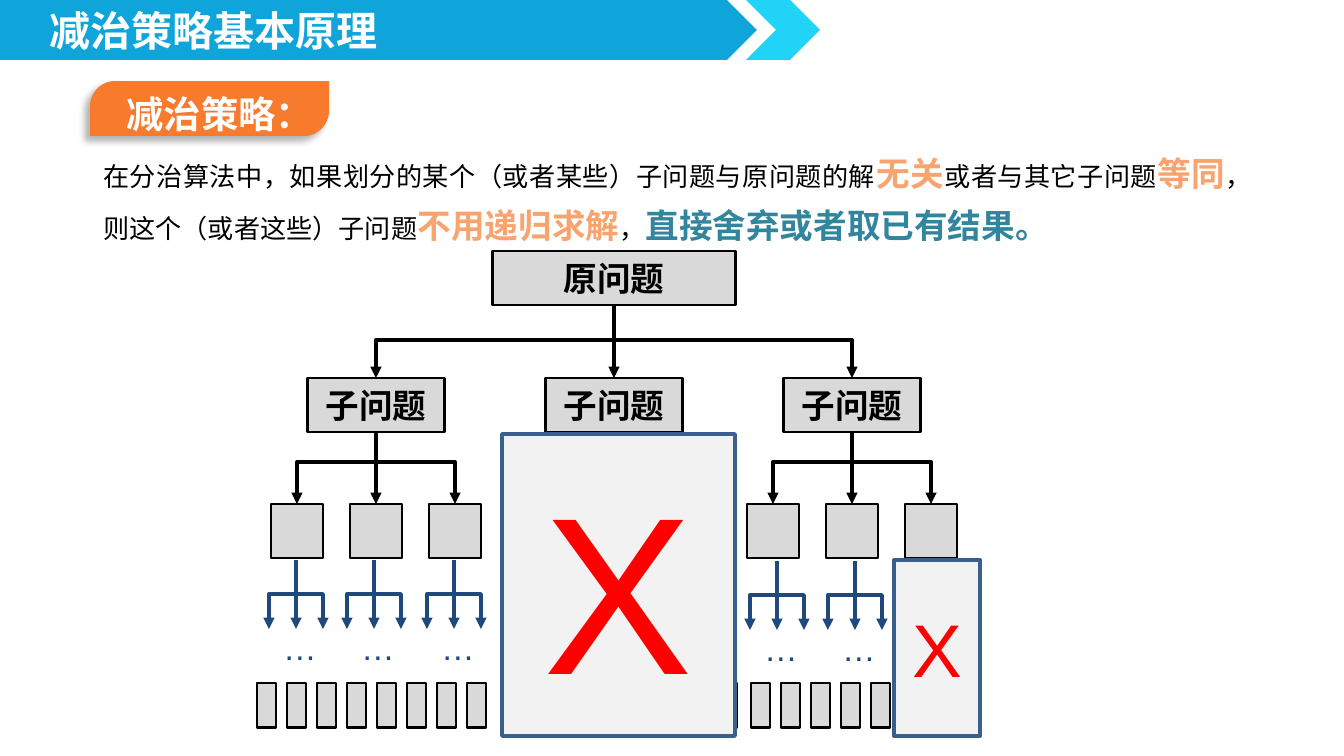
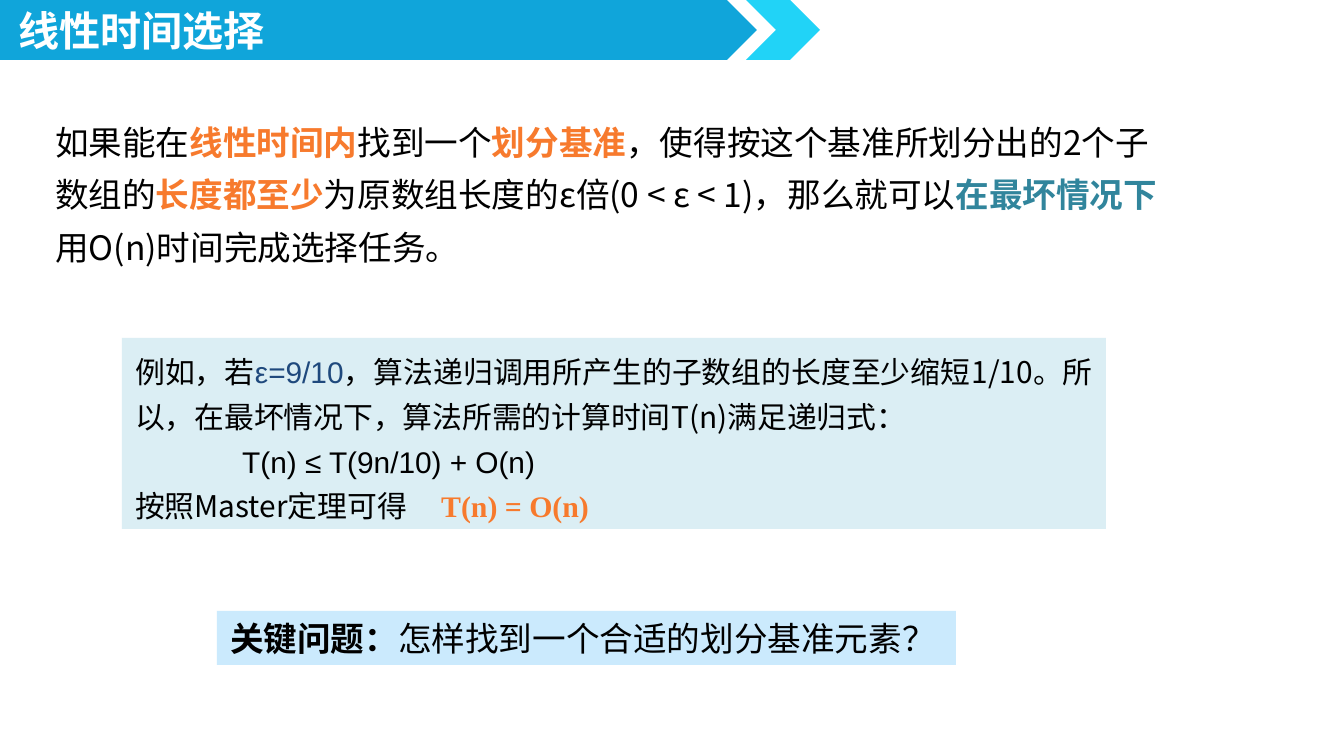
"""Builds two slides on decrease-and-conquer and linear-time selection."""
from lxml.etree import SubElement
from pptx import Presentation
from pptx.dml.color import RGBColor
from pptx.enum.shapes import MSO_CONNECTOR as CONN, MSO_SHAPE as SHAPE
from pptx.enum.text import MSO_ANCHOR as ANCHOR, PP_ALIGN as ALIGN
from pptx.oxml.ns import qn
from pptx.util import Pt

PX = 914400 * 10 / 1344
SANS, ARIAL, SERIF = "Noto Sans CJK SC", "Arial", "Times New Roman"
BLACK, WHITE = RGBColor(0, 0, 0), RGBColor(255, 255, 255)
BLUE, CYAN = RGBColor(0x10, 0xA5, 0xDA), RGBColor(0x21, 0xD3, 0xF7)
ORANGE, PEACH = RGBColor(0xF7, 0x7A, 0x2D), RGBColor(0xF9, 0xA4, 0x6F)
TEAL, NAVY = RGBColor(0x31, 0x85, 0x9C), RGBColor(0x1F, 0x49, 0x7D)
GREY, PALE_GREY = RGBColor(0xD9, 0xD9, 0xD9), RGBColor(0xF2, 0xF2, 0xF2)
EDGE, RED = RGBColor(0x3A, 0x5F, 0x8C), RGBColor(255, 0, 0)
PALE_TEAL, PALE_BLUE = RGBColor(0xDB, 0xEE, 0xF4), RGBColor(0xCB, 0xEA, 0xFD)

PEACH_BIG = dict(size=18, color=PEACH, bold=True)
ORANGE_BOLD = dict(color=ORANGE, bold=True)
TEAL_BOLD = dict(color=TEAL, bold=True)

STRATEGY = [
    "在分治算法中，如果划分的某个（或者某些）子问题与原问题的解",
    ("无关", PEACH_BIG), "或者与其它子问题", ("等同", PEACH_BIG),
    "，则这个（或者这些）子问题", ("不用递归求解", PEACH_BIG), "，",
    ("直接舍弃或者取已有结果。", dict(TEAL_BOLD, size=18)),
]
SELECTION = [
    "如果能在", ("线性时间内", ORANGE_BOLD), "找到一个", ("划分基准", ORANGE_BOLD),
    "，使得按这个基准所划分出的2个子数组的", ("长度都至少", ORANGE_BOLD),
    "为原数组长度的ε倍(0 < ε < 1)，那么就可以", ("在最坏情况下", TEAL_BOLD),
    "用O(n)时间完成选择任务。",
]
EXAMPLE = [
    ["例如，若", ("ε=9/10", dict(font=ARIAL, color=NAVY)),
     "，算法递归调用所产生的子数组的长度至少缩短1/10。"
     "所以，在最坏情况下，算法所需的计算时间T(n)满足递归式："],
    [("T(n) ≤ T(9n/10) + O(n)", dict(font=ARIAL))],
    ["按照Master定理可得\t", ("T(n) = O(n)", dict(ORANGE_BOLD, font=SERIF))],
]
QUESTION = [("关键问题：", dict(bold=True)), "怎样找到一个合适的划分基准元素？"]

CENTRE, CHILD_PITCH, GRAND_PITCH, FAN_PITCH, LEAF_PITCH = 614, 238, 79, 27, 30
FANS = [(296, 560), (374, 560), (454, 560), (777, 561), (855, 561)]
LEAF_ROWS = [(257, 8), (718, 1), (751, 5)]
CROSSED_OUT = [((502, 434, 233, 302), 120), ((894, 560, 86, 176), 40)]


def emu(*lengths):
    return [round(v * PX) for v in lengths]


def write(shape, *paras, size=18, font=SANS, color=BLACK, bold=False,
          align=ALIGN.LEFT, spacing=None, anchor=ANCHOR.TOP, indents=(), tabs=()):
    tf = shape.text_frame
    tf.word_wrap = True
    tf.vertical_anchor = anchor
    for i, runs in enumerate(paras):
        p = tf.paragraphs[0] if i == 0 else tf.add_paragraph()
        pPr = p._p.get_or_add_pPr()
        if i in indents:
            pPr.set("marL", str(emu(indents[i])[0]))
        if i in tabs:
            stops = SubElement(pPr, qn("a:tabLst"))
            SubElement(stops, qn("a:tab"), pos=str(emu(tabs[i])[0]), algn="l")
        p.alignment, p.line_spacing = align, spacing
        for run in [runs] if isinstance(runs, str) else runs:
            words, own = (run, {}) if isinstance(run, str) else run
            look = dict(size=size, font=font, color=color, bold=bold) | own
            r = p.add_run()
            r.text = words
            r.font.size, r.font.bold = Pt(look["size"]), look["bold"]
            r.font.color.rgb = look["color"]
            r.font.name = look["font"]
            SubElement(r._r.get_or_add_rPr(), qn("a:ea"), typeface=SANS)


def add_text(s, box, *paras, **look):
    write(s.shapes.add_textbox(*emu(*box)), *paras, **look)


def add_block(s, box, fill, kind=SHAPE.RECTANGLE, edge=None, width=1.5):
    sp = s.shapes.add_shape(kind, *emu(*box))
    sp.shadow.inherit = False
    sp.fill.solid()
    sp.fill.fore_color.rgb = fill
    if edge is None:
        sp.line.fill.background()
    else:
        sp.line.color.rgb, sp.line.width = edge, Pt(width)
    return sp


def add_arrow(s, x1, y1, x2, y2, color=BLACK):
    c = s.shapes.add_connector(CONN.STRAIGHT if x1 == x2 else CONN.ELBOW,
                               *emu(x1, y1, x2, y2))
    if x1 != x2:
        c._element.spPr.find(qn("a:prstGeom")).set("prst", "bentConnector2")
    c.line.color.rgb, c.line.width = color, Pt(2)
    SubElement(c.line._get_or_add_ln(), qn("a:tailEnd"), type="triangle")
    SubElement(c._element.spPr, qn("a:effectLst"))
    return c


def add_fan(s, x, top, bus, bottom, pitch, color=BLACK):
    stem = add_arrow(s, x, top, x, bottom, color)
    for side in (-pitch, pitch):
        add_arrow(s, x, bus, x + side, bottom, color)
    return stem


def add_node(s, x, y, w, h, label=None):
    sp = add_block(s, (x - w / 2, y, w, h), GREY, edge=BLACK)
    if label:
        write(sp, label, font=ARIAL, bold=True, align=ALIGN.CENTER)
    return sp


def join(arrow, parent, child):
    arrow.begin_connect(parent, 2)
    arrow.end_connect(child, 0)


def new_slide(prs, title, x):
    s = prs.slides.add_slide(prs.slide_layouts[6])
    add_block(s, (0, 0, 757, 60), BLUE, SHAPE.PENTAGON)
    add_block(s, (746, 0, 74, 60), CYAN, SHAPE.CHEVRON)
    add_text(s, (x, 8, 360, 54), title, size=22, color=WHITE, bold=True, spacing=0.8)
    return s


def add_badge(s, label):
    sp = add_block(s, (90, 81, 239, 55), ORANGE, SHAPE.ROUND_2_DIAG_RECTANGLE)
    sp.adjustments[0] = 0.46
    shadow = SubElement(sp._element.spPr.find(qn("a:effectLst")), qn("a:outerShdw"),
                        blurRad=str(Pt(4)), dist=str(Pt(4)), dir="8100000",
                        algn="tr", rotWithShape="0")
    black = SubElement(shadow, qn("a:srgbClr"), val="000000")
    SubElement(black, qn("a:alpha"), val="29000")
    add_text(s, (113, 62, 215, 74), label, size=20, color=WHITE, bold=True, spacing=1.5)


def add_tree(s):
    root = add_node(s, CENTRE, 251, 243, 54, "原问题")
    children = [add_node(s, CENTRE + i * CHILD_PITCH, 378, 137, 54, "子问题")
                for i in (-1, 0, 1)]
    join(add_fan(s, CENTRE, 305, 340, 378, CHILD_PITCH), root, children[1])
    for i in (-1, 1):
        x = CENTRE + i * CHILD_PITCH
        grands = [add_node(s, x + j * GRAND_PITCH, 504, 52, 54) for j in (-1, 0, 1)]
        join(add_fan(s, x, 432, 462, 504, GRAND_PITCH), children[i + 1], grands[1])
    for x, y in FANS:
        add_fan(s, x, y, y + 34, y + 69, FAN_PITCH, NAVY)
        add_text(s, (x - 26, y + 60, 51, 54), "…", font=ARIAL, color=NAVY)
    for left, count in LEAF_ROWS:
        for i in range(count):
            add_block(s, (left + i * LEAF_PITCH, 683, 19, 45), GREY, edge=BLACK)
    for box, size in CROSSED_OUT:
        write(add_block(s, box, PALE_GREY, edge=EDGE, width=2), "X", size=size,
              font=ARIAL, color=RED, align=ALIGN.CENTER, anchor=ANCHOR.MIDDLE)


def main():
    prs = Presentation()
    prs.slide_width, prs.slide_height = emu(1344, 756)

    s = new_slide(prs, "减治策略基本原理", 36)
    add_badge(s, "减治策略：")
    add_text(s, (90, 134, 1175, 114), STRATEGY, size=14,
             align=ALIGN.JUSTIFY, spacing=Pt(28))
    add_tree(s)

    s = new_slide(prs, "线性时间选择", 5)
    add_text(s, (42, 103, 1142, 172), SELECTION, spacing=1.3)
    write(add_block(s, (122, 338, 984, 191), PALE_TEAL), *EXAMPLE, size=16,
          align=ALIGN.JUSTIFY, spacing=Pt(24), indents={1: 107}, tabs={2: 306})
    write(add_block(s, (217, 611, 739, 54), PALE_BLUE), QUESTION)

    prs.save("out.pptx")


if __name__ == "__main__":
    main()
